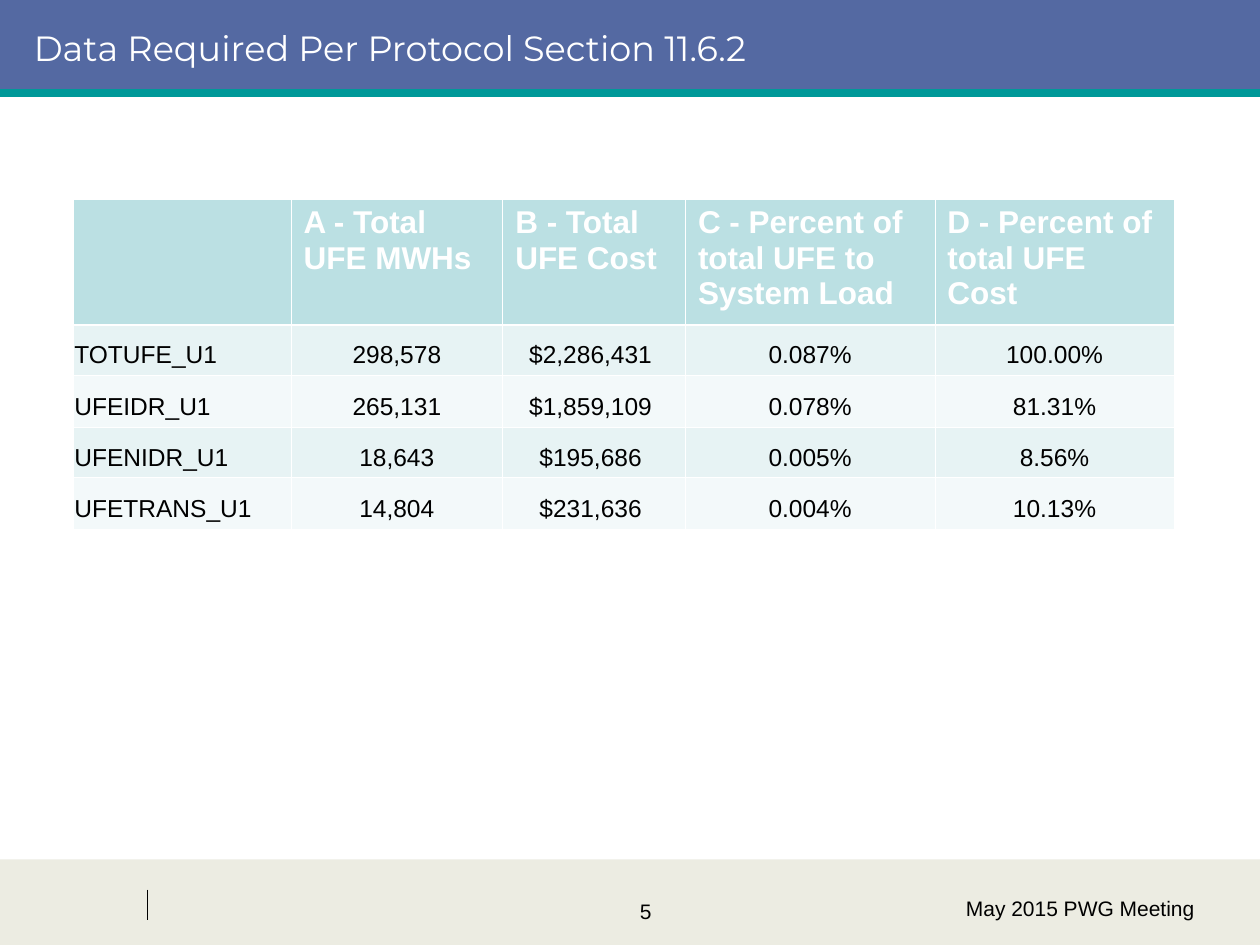
from dataclasses import dataclass

from lxml.etree import SubElement
from pptx import Presentation
from pptx.dml.color import RGBColor
from pptx.enum.shapes import MSO_CONNECTOR as Connector
from pptx.enum.shapes import MSO_SHAPE as Shape
from pptx.enum.text import MSO_ANCHOR as Anchor
from pptx.enum.text import PP_ALIGN as Align
from pptx.oxml.ns import qn
from pptx.slide import Slide
from pptx.table import _Cell as Cell
from pptx.util import Inches, Pt

WHITE = RGBColor(0xFF, 0xFF, 0xFF)
BLACK = RGBColor(0x00, 0x00, 0x00)
BLUE = RGBColor(0x54, 0x69, 0xA2)
TEAL = RGBColor(0x00, 0x99, 0x99)
SAND = RGBColor(0xEC, 0xEC, 0xE2)
HEADER_FILL = RGBColor(0xBB, 0xE0, 0xE3)
ROW_FILLS = (RGBColor(0xE7, 0xF3, 0xF4), RGBColor(0xF3, 0xF9, 0xFA))

THIN, THICK = 0.45, 1.47
COLUMN_WIDTHS = (1.73, 1.68, 1.45, 1.98, 1.9)
ROW_HEIGHTS = (1, 0.4, 0.41, 0.4, 0.41)
ROWS = (
    ("", "A - Total UFE MWHs", "B - Total UFE Cost",
     "C - Percent of total UFE to System Load", "D - Percent of total UFE Cost"),
    ("TOTUFE_U1", "298,578", "$2,286,431 ", "0.087%", "100.00%"),
    ("UFEIDR_U1", "265,131", "$1,859,109 ", "0.078%", "81.31%"),
    ("UFENIDR_U1", "18,643", "$195,686 ", "0.005%", "8.56%"),
    ("UFETRANS_U1", "14,804", "$231,636 ", "0.004%", "10.13%"),
)


@dataclass(frozen=True)
class Band:
    top: float
    height: float
    color: RGBColor


@dataclass(frozen=True)
class Rule:
    start: tuple[float, float]
    end: tuple[float, float]
    color: RGBColor
    width: float


@dataclass(frozen=True)
class Style:
    size: int
    color: RGBColor
    align: Align
    name: str = "Arial"
    bold: bool = False


@dataclass(frozen=True)
class Label:
    text: str
    left: float
    top: float
    width: float
    height: float
    style: Style
    anchor: Anchor = Anchor.TOP


BANDS = (Band(6.82, 0.68, SAND), Band(0, 0.75, BLUE))
RULES = (
    Rule((1.17, 7.06), (1.17, 7.3), BLACK, 0.75),
    Rule((0, 0.74), (10, 0.74), TEAL, 4.5),
)
LABELS = (
    Label("5", 3.75, 7.08, 2.75, 0.5, Style(12, BLACK, Align.CENTER)),
    Label("Data Required Per Protocol Section 11.6.2", 0.17, 0, 9.5, 0.75,
          Style(20, WHITE, Align.LEFT, "Montserrat"), Anchor.MIDDLE),
    Label("May 2015 PWG Meeting", 6.83, 7.06, 2.75, 0.5, Style(12, BLACK, Align.RIGHT)),
)


def write_text(frame, text: str, style: Style) -> None:
    para = frame.paragraphs[0]
    para.text = text
    para.alignment = style.align
    para.font.name = style.name
    para.font.size = Pt(style.size)
    para.font.bold = style.bold
    para.font.color.rgb = style.color


def draw_band(page: Slide, band: Band) -> None:
    shape = page.shapes.add_shape(
        Shape.RECTANGLE, 0, Inches(band.top), Inches(10), Inches(band.height))
    shape.shadow.inherit = False
    shape.fill.solid()
    shape.fill.fore_color.rgb = band.color
    shape.line.fill.background()


def draw_rule(page: Slide, rule: Rule) -> None:
    line = page.shapes.add_connector(
        Connector.STRAIGHT, *map(Inches, rule.start + rule.end))
    line.line.color.rgb = rule.color
    line.line.width = Pt(rule.width)
    SubElement(line._element.spPr, qn("a:effectLst"))


def draw_label(page: Slide, label: Label) -> None:
    box = page.shapes.add_textbox(
        *map(Inches, (label.left, label.top, label.width, label.height)))
    frame = box.text_frame
    frame.word_wrap = True
    frame.vertical_anchor = label.anchor
    write_text(frame, label.text, label.style)


def add_borders(cell: Cell, top: float, bottom: float) -> None:
    properties = cell._tc.get_or_add_tcPr()
    for side, width in (("L", THIN), ("R", THIN), ("T", top), ("B", bottom)):
        border = SubElement(properties, qn(f"a:ln{side}"), w=str(int(Pt(width))))
        fill = SubElement(border, qn("a:solidFill"))
        SubElement(fill, qn("a:srgbClr"), val=str(WHITE))


def fill_cell(cell: Cell, text: str, row: int, column: int) -> None:
    is_header = row == 0
    add_borders(cell, THICK if row == 1 else THIN, THICK if is_header else THIN)
    cell.fill.solid()
    cell.fill.fore_color.rgb = HEADER_FILL if is_header else ROW_FILLS[(row - 1) % 2]
    cell.margin_left = cell.margin_right = Inches(0.1 if is_header else 0.01)
    cell.margin_top = cell.margin_bottom = Inches(0.05)
    cell.vertical_anchor = Anchor.TOP if is_header else Anchor.BOTTOM
    if is_header:
        style = Style(18, WHITE, Align.LEFT, bold=True)
    else:
        style = Style(14, BLACK, Align.CENTER if column else Align.LEFT)
    write_text(cell.text_frame, text, style)


def draw_table(page: Slide) -> None:
    table = page.shapes.add_table(
        len(ROWS), len(COLUMN_WIDTHS), Inches(0.58), Inches(1.58),
        Inches(sum(COLUMN_WIDTHS)), Inches(sum(ROW_HEIGHTS))).table
    for column, width in zip(table.columns, COLUMN_WIDTHS):
        column.width = Inches(width)
    for row, height in zip(table.rows, ROW_HEIGHTS):
        row.height = Inches(height)
    for row, texts in enumerate(ROWS):
        for column, text in enumerate(texts):
            fill_cell(table.cell(row, column), text, row, column)


def main() -> None:
    deck = Presentation()
    deck.slide_width, deck.slide_height = Inches(10), Inches(7.5)
    page = deck.slides.add_slide(deck.slide_layouts[6])
    for band in BANDS:
        draw_band(page, band)
    for rule in RULES:
        draw_rule(page, rule)
    for label in LABELS:
        draw_label(page, label)
    draw_table(page)
    deck.save("out.pptx")


if __name__ == "__main__":
    main()
